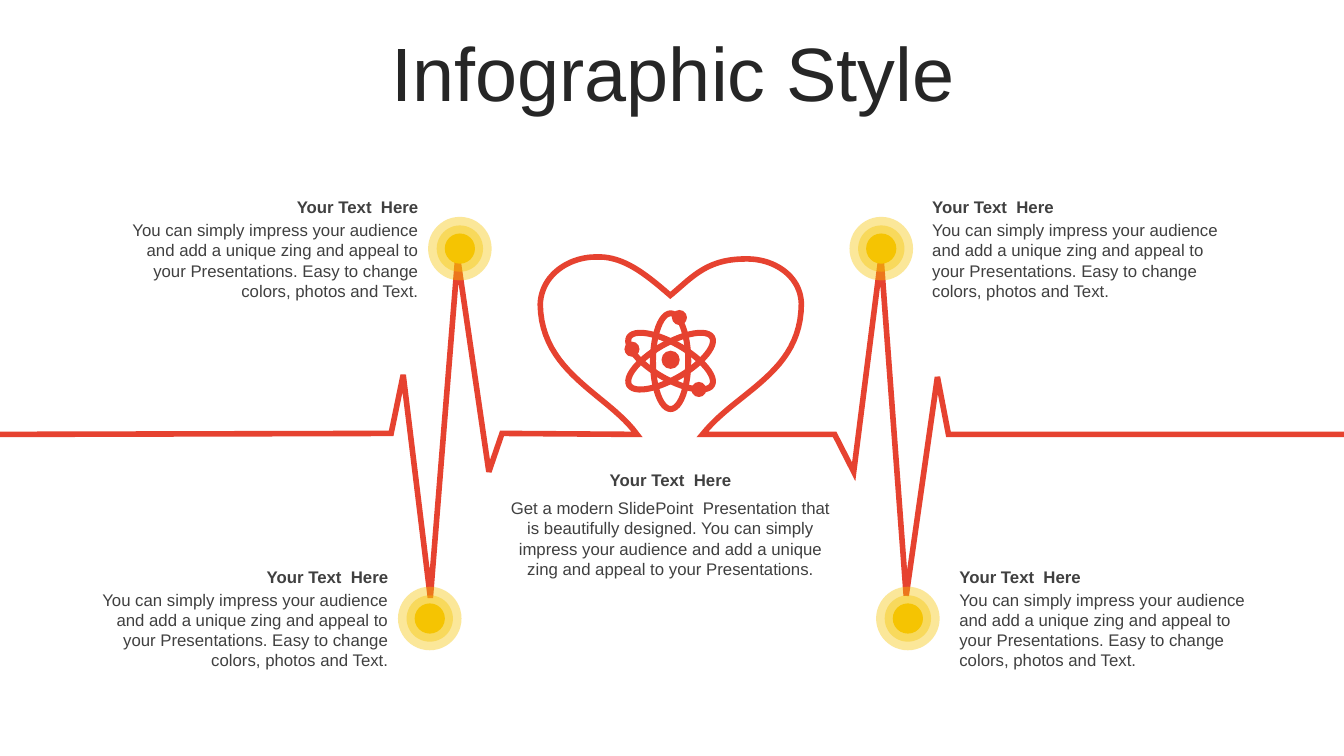
from lxml import etree
from pptx import Presentation
from pptx.dml.color import RGBColor
from pptx.enum.shapes import MSO_SHAPE
from pptx.enum.text import MSO_ANCHOR, MSO_AUTO_SIZE, PP_ALIGN
from pptx.oxml.ns import qn
from pptx.util import Pt

OVAL = MSO_SHAPE.OVAL
MIDDLE = MSO_ANCHOR.MIDDLE
NO_FIT = MSO_AUTO_SIZE.NONE
LEFT, CENTER, RIGHT = PP_ALIGN.LEFT, PP_ALIGN.CENTER, PP_ALIGN.RIGHT

RED = RGBColor(0xE6, 0x42, 0x30)
YELLOW = RGBColor(0xF5, 0xC4, 0x02)
TITLE_COLOR = RGBColor(0x26, 0x26, 0x26)
TEXT_COLOR = RGBColor(0x40, 0x40, 0x40)

HEADING = "Your Text  Here"
SIDE_TEXT = (
    "You can simply impress your audience and add a unique zing and appeal to "
    "your Presentations. Easy to change colors, photos and Text."
)
CENTER_TEXT = (
    "Get a modern SlidePoint  Presentation that is beautifully designed. "
    "You can simply impress your audience and add a unique zing and appeal to "
    "your Presentations."
)

LEFT_PULSE = [
    (0, 126.7), (279.4, 126), (288, 84.2), (307.4, 243.4),
    (326.9, 0.7), (349.2, 153.4), (358.6, 126), (455, 126.7),
]
HEART_CURVES = [
    [(434.2, 97.9), (386.6, 82.8), (385.9, 33.8)],
    [(386.6, 12.2), (407.5, -0.7), (427, 0)],
    [(447.1, -0.7), (465.1, 15.8), (478.8, 27.4)],
    [(493.2, 15.8), (504, 1.4), (532.1, 1.4)],
    [(552.2, 0.7), (571.7, 13), (572.4, 33.1)],
    [(572.4, 82.8), (526.3, 95.8), (501.8, 126.7)],
]
RIGHT_PULSE = [
    (596.2, 126.7), (609.8, 153.4), (629.3, 0), (647.3, 241.9),
    (669.6, 85.7), (677.5, 126.7), (960, 126.7),
]
CURVE_STEPS = 24

CAPTIONS = [
    (82, 137, RIGHT),
    (60.5, 401, RIGHT),
    (658.8, 137, LEFT),
    (678.2, 401, LEFT),
]
HALO_CENTERS = [(328.5, 177.6), (629.5, 177.6), (307, 441.8), (648.5, 441.8)]
HALO_RINGS = [(45.4, 40), (33.1, 40), (21.6, 100)]
ORBIT_ANGLES = [0, 60, -60]
ELECTRONS = [(6.3, -31.2), (-27.6, -8.6), (20.2, 20.2)]


def format_run(paragraph, text, values):
    run = paragraph.add_run()
    run.text = text
    color = values["color"]
    for name, value in values.items():
        if name != "color":
            setattr(run.font, name, value)
    run.font.color.rgb = color


def add_title(slide, left, top, width, height):
    title = slide.shapes.title
    box = {"left": left, "top": top, "width": width, "height": height}
    for name, value in box.items():
        setattr(title, name, Pt(value))
    frame = title.text_frame
    frame.auto_size = NO_FIT
    frame.vertical_anchor = MIDDLE
    paragraph = frame.paragraphs[0]
    paragraph.alignment = CENTER
    paragraph.line_spacing = 0.9
    values = {"name": "Arial", "size": Pt(54), "bold": False, "color": TITLE_COLOR}
    format_run(paragraph, "Infographic Style", values)


def add_text(shapes, left, top, width, height, text, alignment, bold):
    box = shapes.add_textbox(Pt(left), Pt(top), Pt(width), Pt(height))
    box.text_frame.word_wrap = True
    paragraph = box.text_frame.paragraphs[0]
    paragraph.alignment = alignment
    values = {"name": "Arial", "size": Pt(12), "bold": bold, "color": TEXT_COLOR}
    format_run(paragraph, text, values)


def add_caption(slide, left, top, width, text, alignment, body_offset):
    shapes = slide.shapes.add_group_shape().shapes
    add_text(shapes, left, top + body_offset, width, 65.5, text, alignment, False)
    add_text(shapes, left, top, width, 21.6, HEADING, alignment, True)


def add_circle(shapes, center_x, center_y, width, height):
    circle = shapes.add_shape(
        OVAL, Pt(center_x - width / 2), Pt(center_y - height / 2), Pt(width), Pt(height)
    )
    circle.shadow.inherit = False
    return circle


def add_dot(shapes, center_x, center_y, size, color, opacity=100):
    dot = add_circle(shapes, center_x, center_y, size, size)
    dot.fill.solid()
    dot.fill.fore_color.rgb = color
    dot.line.fill.background()
    if opacity < 100:
        fill_color = dot.fill._xPr.find(".//" + qn("a:srgbClr"))
        etree.SubElement(fill_color, qn("a:alpha"), val=str(opacity * 1000))


def add_halo(slide, center_x, center_y):
    shapes = slide.shapes.add_group_shape().shapes
    for size, opacity in HALO_RINGS:
        add_dot(shapes, center_x, center_y, size, YELLOW, opacity)


def curve_points(start, control_1, control_2, end):
    points = []
    for step in range(1, CURVE_STEPS + 1):
        t = step / CURVE_STEPS
        weights = ((1 - t) ** 3, 3 * t * (1 - t) ** 2, 3 * t * t * (1 - t), t ** 3)
        corners = (start, control_1, control_2, end)
        points.append(tuple(
            sum(weight * corner[axis] for weight, corner in zip(weights, corners))
            for axis in (0, 1)
        ))
    return points


def add_heartbeat(slide, left, top):
    points = list(LEFT_PULSE)
    for curve in HEART_CURVES:
        points += curve_points(points[-1], *curve)
    points += RIGHT_PULSE
    vertices = [(Pt(left + x), Pt(top + y)) for x, y in points]
    builder = slide.shapes.build_freeform(*vertices[0], scale=1.0)
    builder.add_line_segments(vertices[1:], close=False)
    heartbeat = builder.convert_to_shape()
    heartbeat.shadow.inherit = False
    heartbeat.fill.background()
    heartbeat.line.color.rgb = RED
    heartbeat.line.width = Pt(4)
    line = heartbeat.line._get_or_add_ln()
    etree.SubElement(line, qn("a:miter"), lim="800000")


def add_atom(slide, center_x, center_y):
    shapes = slide.shapes.add_group_shape().shapes
    for angle in ORBIT_ANGLES:
        orbit = add_circle(shapes, center_x, center_y, 25.2, 68.4)
        orbit.rotation = angle
        orbit.fill.background()
        orbit.line.color.rgb = RED
        orbit.line.width = Pt(4.3)
    add_dot(shapes, center_x, center_y - 1, 13, RED)
    for offset_x, offset_y in ELECTRONS:
        add_dot(shapes, center_x + offset_x, center_y + offset_y, 10.8, RED)


def main():
    presentation = Presentation()
    presentation.slide_width = Pt(960)
    presentation.slide_height = Pt(540)
    slide = presentation.slides.add_slide(presentation.slide_layouts[5])
    add_title(slide, 25.2, 26.6, 911.5, 56.9)
    add_heartbeat(slide, 0, 183.6)
    add_caption(slide, 357, 332, 244, CENTER_TEXT, CENTER, 20.2)
    for left, top, alignment in CAPTIONS:
        add_caption(slide, left, top, 224, SIDE_TEXT, alignment, 16.6)
    add_atom(slide, 479, 258)
    for center in HALO_CENTERS:
        add_halo(slide, *center)
    presentation.save("out.pptx")


if __name__ == "__main__":
    main()
